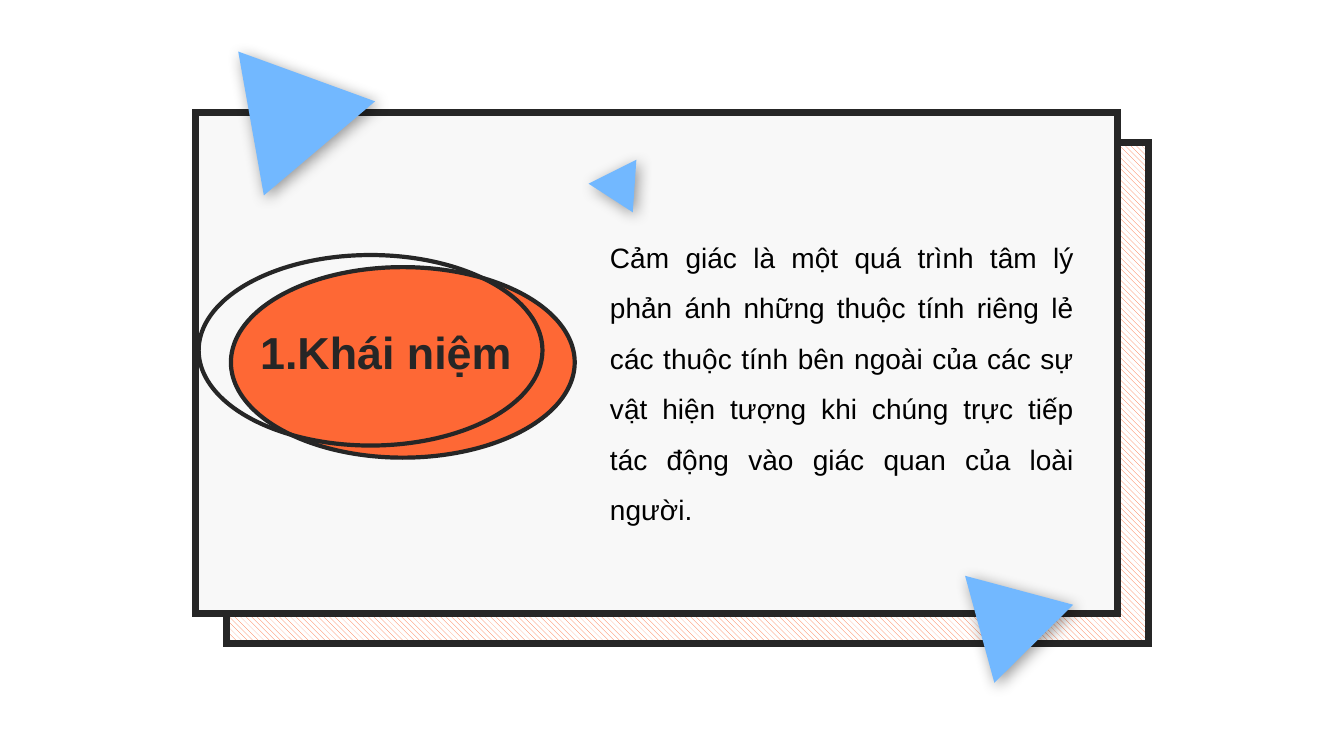
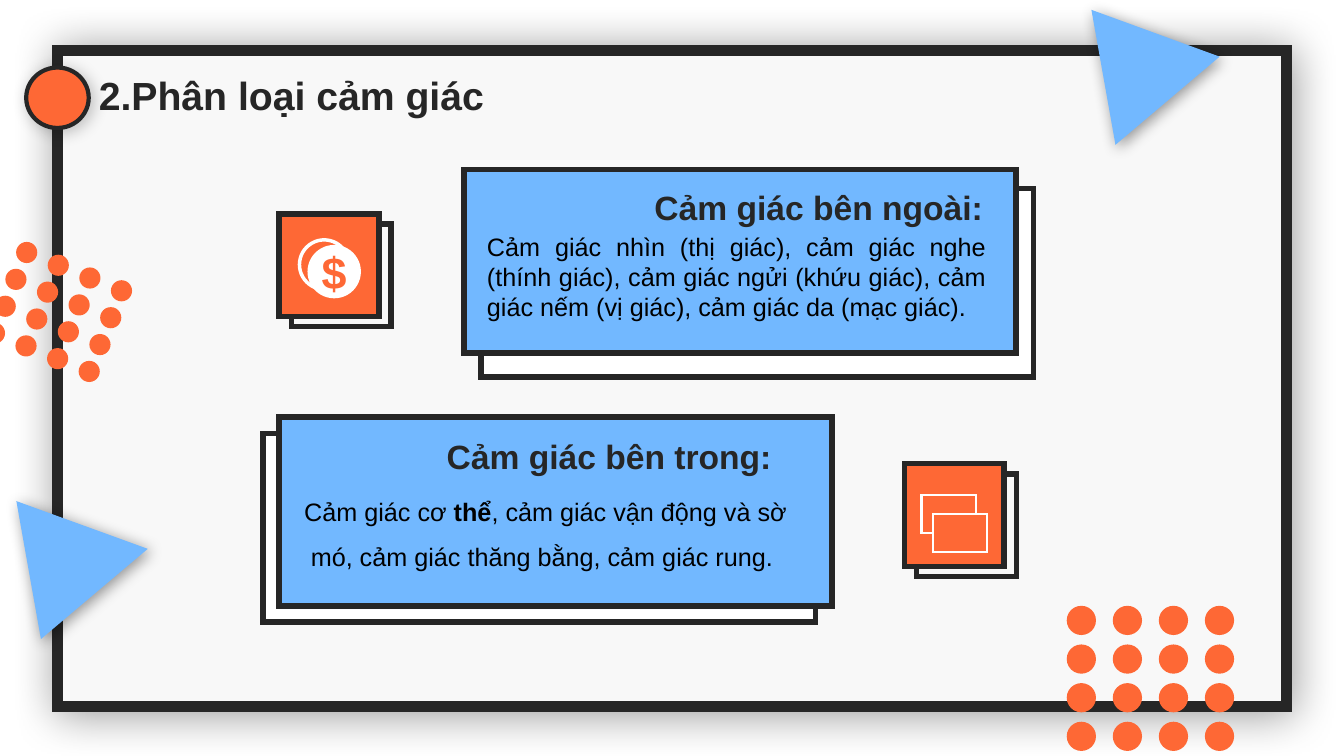
from pptx import Presentation
from pptx.dml.color import RGBColor
from pptx.enum import dml, shapes, text
from pptx.oxml import parse_xml
from pptx.oxml.ns import nsdecls, qn
from pptx.util import Inches, Pt

COLORS = {"ink": "262626", "orange": "FE6835", "blue": "72B8FF",
          "paper": "F8F8F8", "white": "FFFFFF", "black": "000000"}
FONT = "Arial"
SHAPE = shapes.MSO_SHAPE
ALIGN = text.PP_ALIGN

# Slide 1
CONCEPT_TITLE = "1.Khái niệm"
CONCEPT = [("Cảm giác là một quá trình tâm lý phản ánh những thuộc tính riêng lẻ "
            "các thuộc tính bên ngoài của các sự vật hiện tượng khi chúng trực tiếp "
            "tác động vào giác quan của loài người. ", False)]
CONCEPT_TRIANGLES = [((2.38, 0.49, 1.45, 1.25), 79.9),
                     ((5.91, 1.68, 0.53, 0.45), 153.4)]
CORNER_TRIANGLE = ((9.43, 5.84, 1.11, 0.95), 195)

# Slide 2
TYPES_TITLE = "2.Phân loại cảm giác"
TYPES = [
    {"heading": "Cảm giác bên ngoài:", "heading_at": (6.39, 1.8, 3.49, 0.5),
     "body": [("Cảm giác nhìn (thị giác), cảm giác nghe (thính giác), cảm giác ngửi "
               "(khứu giác), cảm giác nếm (vị giác), cảm giác da (mạc giác). ", False)],
     "body_at": (4.73, 2.24, 5.15, 1.01), "align": ALIGN.JUSTIFY, "spacing": 1.0,
     "back": (4.77, 1.87, 5.48, 1.87), "card": (4.6, 1.68, 5.48, 1.82),
     "tile": (2.77, 2.12)},
    {"heading": "Cảm giác bên trong:", "heading_at": (4.33, 4.27, 3.45, 0.5),
     "body": [("Cảm giác cơ ", False), ("thể", True),
              (", cảm giác vận động và sờ mó, cảm giác thăng bằng, cảm giác rung. ", False)],
     "body_at": (2.89, 4.72, 5.04, 0.95), "align": ALIGN.CENTER, "spacing": 1.5,
     "back": (2.61, 4.3, 5.48, 1.87), "card": (2.77, 4.14, 5.48, 1.87),
     "tile": (8.97, 4.6)},
]
TYPES_TRIANGLES = [((10.84, 0.08, 1.36, 1.17), 79.9),
                   ((0.18, 4.95, 1.39, 1.2), 79.9)]
# Origin, diameter, then the span from first to last column and row
DOT_GRIDS = [((10.58, 6.01), 0.29, (1.37, 0), (0, 1.15)),
             ((0.16, 2.4), 0.21, (0.94, 0.38), (-0.32, 0.8))]
DOTS_PER_SIDE = 4


def rgb(name):
    return RGBColor.from_string(COLORS[name])


def add_shadow(shape, alpha, blur):
    shape._element.spPr.append(parse_xml(
        f'<a:effectLst {nsdecls("a")}><a:outerShdw blurRad="{Pt(blur)}" dist="{Pt(3)}" '
        f'dir="2700000" algn="tl" rotWithShape="0"><a:srgbClr val="{COLORS["black"]}">'
        f'<a:alpha val="{alpha * 1000}"/></a:srgbClr></a:outerShdw></a:effectLst>'))


def add(slide, kind, at, fill=None, line=0, shadow=None, line_color="ink"):
    """Draw a preset shape; shadow is (alpha, blur), line a width in points."""
    shape = slide.shapes.add_shape(kind, *map(Inches, at))
    if fill:
        shape.fill.solid()
        shape.fill.fore_color.rgb = rgb(fill)
    else:
        shape.fill.background()
    if line:
        shape.line.color.rgb = rgb(line_color)
        shape.line.width = Pt(line)
        shape._element.spPr.find(qn("a:ln")).append(
            parse_xml(f'<a:miter {nsdecls("a")} lim="800000"/>'))
    else:
        shape.line.fill.background()
    if shadow:
        add_shadow(shape, *shadow)
    else:
        shape.shadow.inherit = False
    return shape


def add_triangle(slide, at, angle):
    add(slide, SHAPE.ISOSCELES_TRIANGLE, at, "blue", shadow=(40, 11)).rotation = angle


def add_run(paragraph, words, size, color, bold):
    run = paragraph.add_run()
    run.text = words
    run.font.name, run.font.size, run.font.bold = FONT, Pt(size), bold
    run.font.color.rgb = rgb(color)


def write(slide, idx, at, runs, size, color="black", align=ALIGN.LEFT, spacing=1.0, wrap=True):
    """Fill placeholder idx and bring it in front of what is drawn so far."""
    holder = next(p for p in slide.placeholders if p.placeholder_format.idx == idx)
    holder.left, holder.top, holder.width, holder.height = map(Inches, at)
    slide.shapes._spTree.append(holder._element)
    frame = holder.text_frame
    frame.word_wrap = wrap
    frame.auto_size = text.MSO_AUTO_SIZE.SHAPE_TO_FIT_TEXT
    frame.vertical_anchor = text.MSO_ANCHOR.TOP
    paragraph = frame.paragraphs[0]
    paragraph.alignment = align
    paragraph.line_spacing = spacing
    paragraph.space_before = Pt(0)
    props = paragraph._p.get_or_add_pPr()
    props.set("marL", "0")
    props.set("indent", "0")
    props.append(parse_xml(f'<a:buNone {nsdecls("a")}/>'))
    for words, bold in runs:
        add_run(paragraph, words, size, color, bold)


def write_heading(slide, idx, at, words, size, wrap=False):
    write(slide, idx, at, [(words, True)], size, "ink", wrap=wrap)


def add_coins(slide, x, y):
    add(slide, SHAPE.OVAL, (x + 0.2, y + 0.26, 0.49, 0.49), "orange", 2.5, line_color="white")
    coin = add(slide, SHAPE.OVAL, (x + 0.28, y + 0.31, 0.53, 0.53), "white")
    frame = coin.text_frame
    frame.margin_left = frame.margin_right = frame.margin_top = frame.margin_bottom = 0
    frame.word_wrap = False
    frame.vertical_anchor = text.MSO_ANCHOR.MIDDLE
    frame.paragraphs[0].alignment = ALIGN.CENTER
    add_run(frame.paragraphs[0], "$", 32, "orange", True)


def add_windows(slide, x, y):
    for dx, dy in ((0.17, 0.31), (0.28, 0.5)):
        add(slide, SHAPE.RECTANGLE, (x + dx, y + dy, 0.54, 0.38), "orange", 1.5,
            line_color="white")


def add_dots(slide, origin, size, across, down):
    gaps = DOTS_PER_SIDE - 1
    for row in range(DOTS_PER_SIDE):
        for col in range(DOTS_PER_SIDE):
            x, y = (origin[i] + (across[i] * col + down[i] * row) / gaps for i in (0, 1))
            add(slide, SHAPE.OVAL, (x, y, size, size), "orange")


def build_concept(prs):
    slide = prs.slides.add_slide(prs.slide_layouts.get_by_name("Title and Content"))
    hatch = add(slide, SHAPE.RECTANGLE, (2.25, 1.41, 9.14, 4.97), "white", 5)
    hatch.fill.patterned()
    hatch.fill.pattern = dml.MSO_PATTERN.WIDE_DOWNWARD_DIAGONAL
    hatch.fill.fore_color.rgb = rgb("orange")
    hatch.fill.back_color.rgb = rgb("white")
    add(slide, SHAPE.RECTANGLE, (1.94, 1.12, 9.14, 4.97), "paper", 5)
    for at, angle in CONCEPT_TRIANGLES:
        add_triangle(slide, at, angle)
    add(slide, SHAPE.OVAL, (2.29, 2.65, 3.41, 1.89), "orange", 3)
    write_heading(slide, 0, (2.48, 3.17, 3.34, 0.64), CONCEPT_TITLE, 32, wrap=True)
    add(slide, SHAPE.OVAL, (1.97, 2.53, 3.41, 1.89), line=3)
    write(slide, 1, (5.95, 2.17, 4.8, 3.08), CONCEPT, 20, align=ALIGN.JUSTIFY, spacing=1.5)
    add_triangle(slide, *CORNER_TRIANGLE)


def build_types(prs):
    slide = prs.slides.add_slide(prs.slide_layouts.get_by_name("Comparison"))
    add(slide, SHAPE.RECTANGLE, (0.57, 0.5, 12.19, 6.51), "paper", 8, (40, 32))
    add(slide, SHAPE.OVAL, (0.26, 0.67, 0.62, 0.6), "orange", 3, (23, 12))
    write_heading(slide, 0, (0.88, 0.66, 4.17, 0.57), TYPES_TITLE, 28)
    for number, (sense, add_icon) in enumerate(zip(TYPES, (add_coins, add_windows))):
        x, y = sense["tile"]
        add(slide, SHAPE.RECTANGLE, sense["back"], "white", 4)
        add(slide, SHAPE.RECTANGLE, sense["card"], "blue", 4)
        add(slide, SHAPE.RECTANGLE, (x + 0.12, y + 0.1, 0.99, 1.02), "paper", 4)
        add(slide, SHAPE.RECTANGLE, (x, y, 0.99, 1.02), "orange", 4)
        add_icon(slide, x, y)
        heading_idx = 1 + 2 * number
        write(slide, heading_idx + 1, sense["body_at"], sense["body"], 18,
              align=sense["align"], spacing=sense["spacing"])
        write_heading(slide, heading_idx, sense["heading_at"], sense["heading"], 24)
    for at, angle in TYPES_TRIANGLES:
        add_triangle(slide, at, angle)
    for grid in DOT_GRIDS:
        add_dots(slide, *grid)


def main():
    prs = Presentation()
    prs.slide_width, prs.slide_height = Inches(13.33), Inches(7.5)
    build_concept(prs)
    build_types(prs)
    prs.save("out.pptx")


if __name__ == "__main__":
    main()
